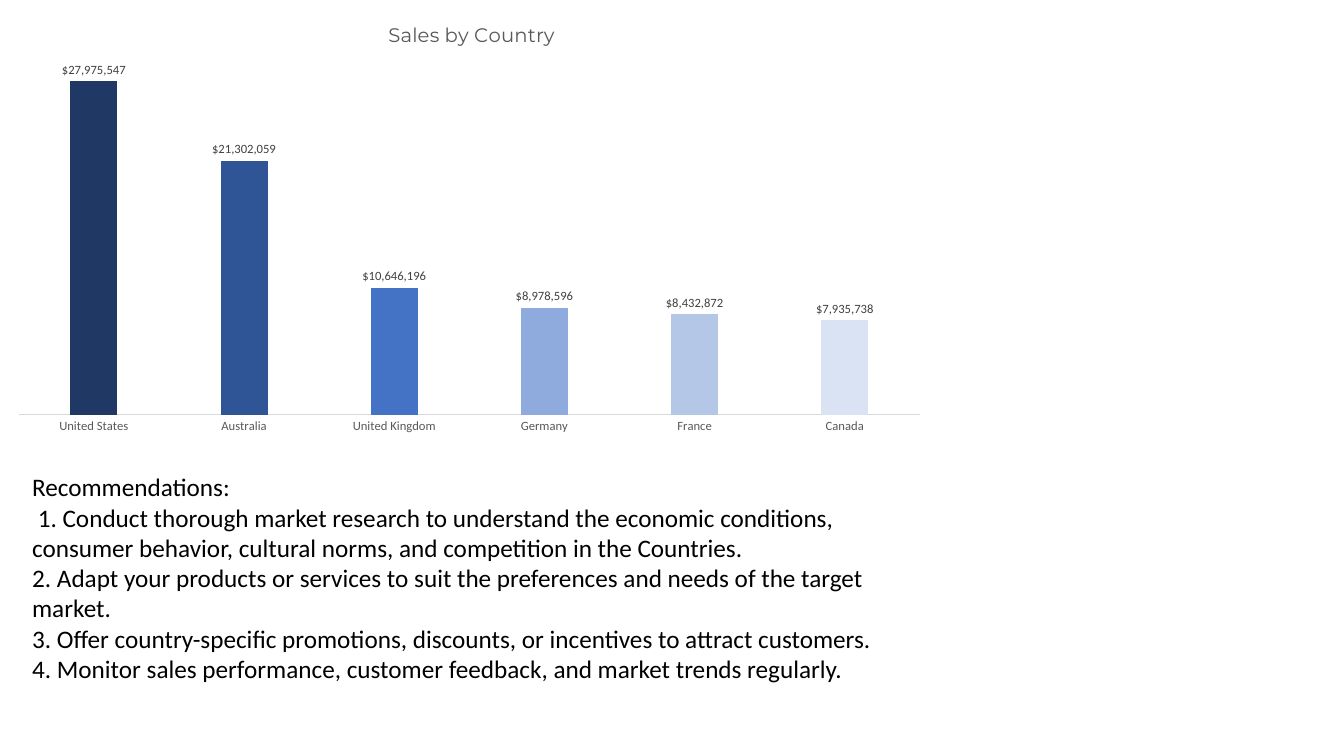
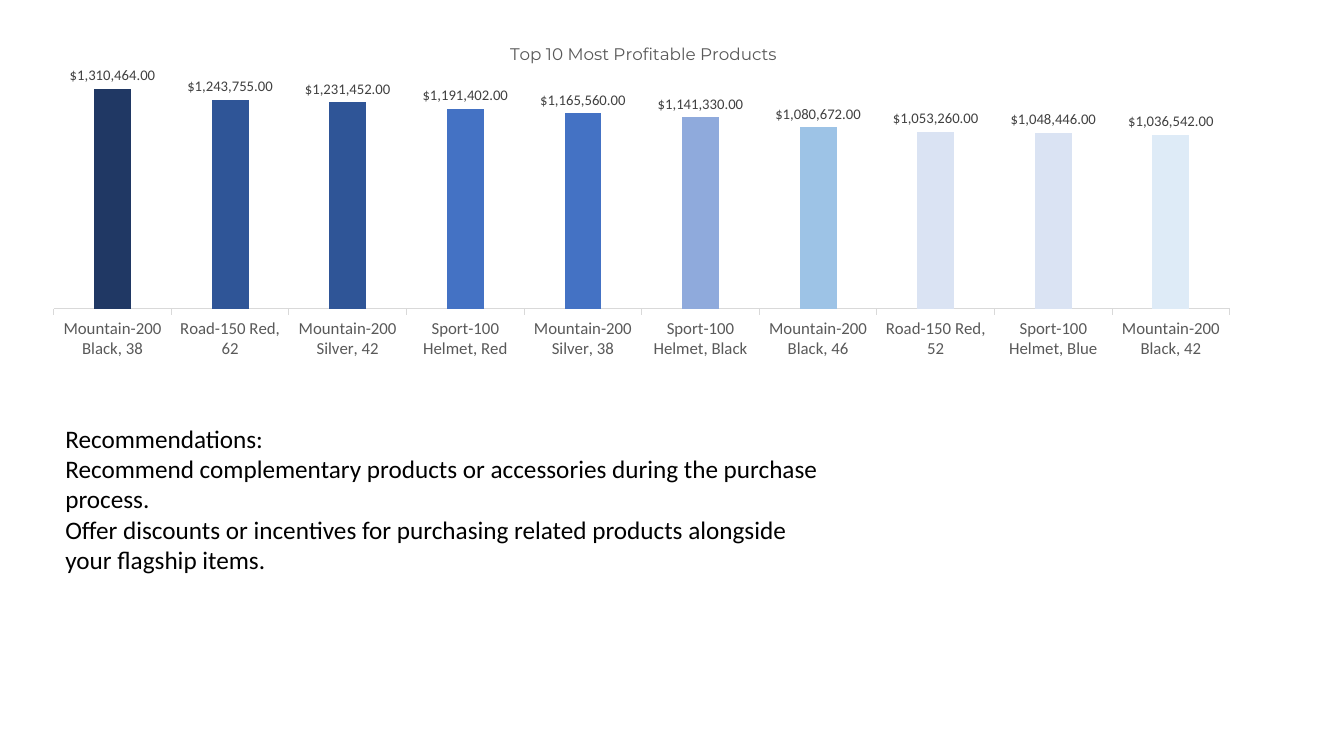
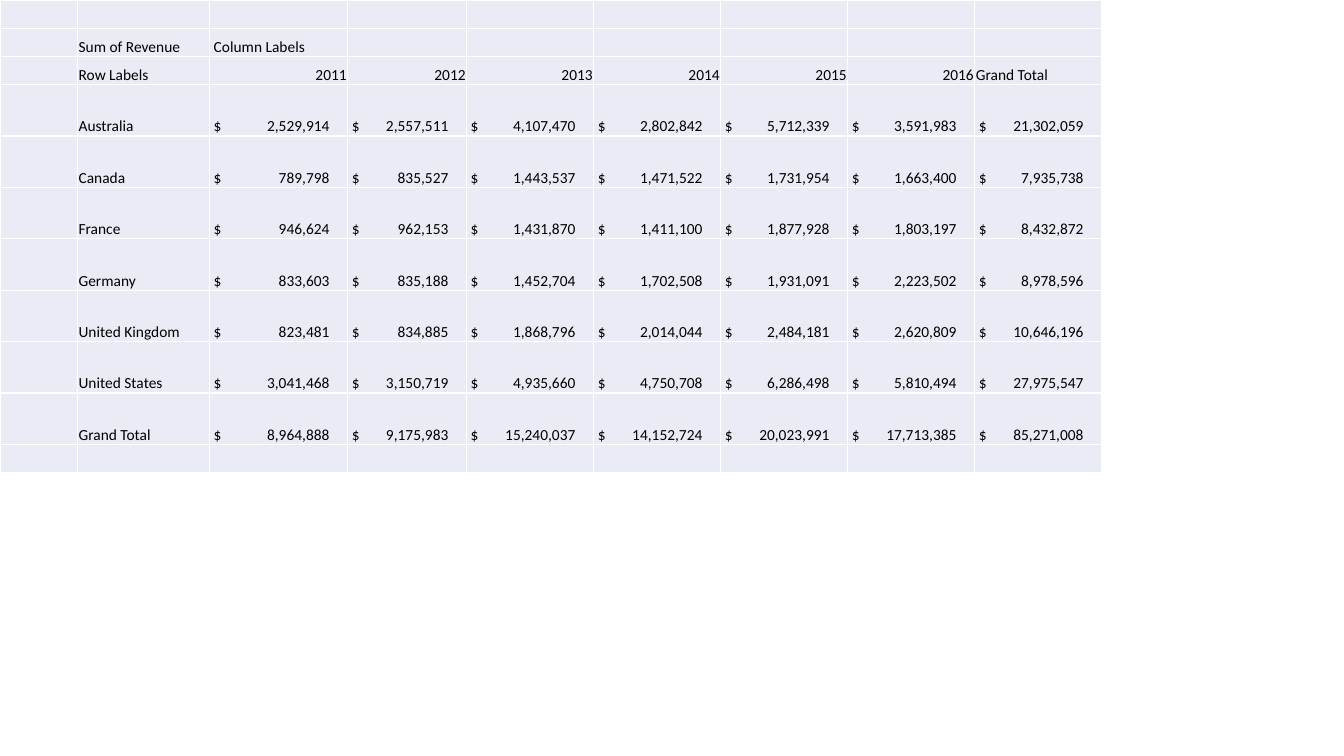
import lxml.etree
import pptx
import pptx.chart.data
import pptx.dml.color
import pptx.enum.chart
import pptx.enum.text
import pptx.oxml.ns
import pptx.util

Inches = pptx.util.Inches
Pt = pptx.util.Pt
qn = pptx.oxml.ns.qn

BODY_FONT = "Calibri"
TITLE_FONT = "Montserrat"
BLACK = "000000"
WHITE = "FFFFFF"
LABEL_GREY = "404040"
AXIS_GREY = "595959"
LINE_GREY = "D9D9D9"
CELL_FILL = "E9EBF5"
NAVY, DEEP, BLUE, SOFT, LIGHT, PALE = (
    "203864", "2F5597", "4472C4", "8FAADC", "B4C7E7", "DAE3F3")
SKY, ICE = "9DC3E6", "DEEBF7"

COUNTRIES = [
    ("United States", 27975547, NAVY),
    ("Australia", 21302059, DEEP),
    ("United Kingdom", 10646196, BLUE),
    ("Germany", 8978596, SOFT),
    ("France", 8432872, LIGHT),
    ("Canada", 7935738, PALE),
]
PRODUCTS = [
    ("Mountain-200 Black, 38", 1310464, NAVY),
    ("Road-150 Red, 62", 1243755, DEEP),
    ("Mountain-200 Silver, 42", 1231452, DEEP),
    ("Sport-100 Helmet, Red", 1191402, BLUE),
    ("Mountain-200 Silver, 38", 1165560, BLUE),
    ("Sport-100 Helmet, Black", 1141330, SOFT),
    ("Mountain-200 Black, 46", 1080672, SKY),
    ("Road-150 Red, 52", 1053260, PALE),
    ("Sport-100 Helmet, Blue", 1048446, PALE),
    ("Mountain-200 Black, 42", 1036542, ICE),
]
COUNTRY_ADVICE = [
    "Recommendations:",
    " 1. Conduct thorough market research to understand the economic conditions, "
    "consumer behavior, cultural norms, and competition in the Countries.",
    "2. Adapt your products or services to suit the preferences and needs of the "
    "target market.",
    "3. Offer country-specific promotions, discounts, or incentives to attract customers.",
    "4. Monitor sales performance, customer feedback, and market trends regularly.",
]
PRODUCT_ADVICE = [
    "Recommendations:",
    "Recommend complementary products or accessories during the purchase process.",
    "Offer discounts or incentives for purchasing related products alongside your "
    "flagship items.",
]
YEARS = ["2011", "2012", "2013", "2014", "2015", "2016"]
REVENUE = [
    ("Australia", 2529914, 2557511, 4107470, 2802842, 5712339, 3591983, 21302059),
    ("Canada", 789798, 835527, 1443537, 1471522, 1731954, 1663400, 7935738),
    ("France", 946624, 962153, 1431870, 1411100, 1877928, 1803197, 8432872),
    ("Germany", 833603, 835188, 1452704, 1702508, 1931091, 2223502, 8978596),
    ("United Kingdom", 823481, 834885, 1868796, 2014044, 2484181, 2620809, 10646196),
    ("United States", 3041468, 3150719, 4935660, 4750708, 6286498, 5810494, 27975547),
    ("Grand Total", 8964888, 9175983, 15240037, 14152724, 20023991, 17713385, 85271008),
]
COLUMN_WIDTHS = [0.77, 1.31, 1.37, 1.18] + [1.26] * 5
ROW_HEIGHTS = [0.28] * 3 + [0.51] * len(REVENUE) + [0.28]
CELL_MARGIN = 0.01
MONEY_INDENT = 0.04
MONEY_GAP = 0.18


def rgb(value):
    return pptx.dml.color.RGBColor.from_string(value)


def style_font(font, size, color, name=BODY_FONT):
    font.name = name
    font.size = Pt(size)
    font.bold = False
    font.color.rgb = rgb(color)


def set_layout(parent, index, inner=False, **fractions):
    """Fix the place of a chart part as fractions of the whole chart."""
    for old in parent.findall(qn("c:layout")):
        parent.remove(old)
    layout = parent.makeelement(qn("c:layout"), {})
    parent.insert(index, layout)
    manual = lxml.etree.SubElement(layout, qn("c:manualLayout"))
    settings = [("layoutTarget", "inner")] if inner else []
    settings += [("xMode", "edge"), ("yMode", "edge")]
    settings += [(key, str(value)) for key, value in fractions.items()]
    for tag, value in settings:
        lxml.etree.SubElement(manual, qn("c:" + tag), val=value)


def add_ranking(slide, box, title, bars, number_format, top_value, title_size,
                title_at, axis_size, label_size, plot_y, plot_h, tick):
    """Column chart with one colour a bar and no value axis."""
    data = pptx.chart.data.CategoryChartData(number_format=number_format)
    data.categories = [name for name, _, _ in bars]
    data.add_series("Series 1", [value for _, value, _ in bars])
    chart = slide.shapes.add_chart(
        pptx.enum.chart.XL_CHART_TYPE.COLUMN_CLUSTERED,
        *[Inches(length) for length in box], data).chart
    style_font(chart.font, 10, BLACK)
    chart.has_legend = False

    chart.has_title = True
    heading = chart.chart_title.text_frame.paragraphs[0].add_run()
    heading.text = title
    style_font(heading.font, title_size, AXIS_GREY, TITLE_FONT)
    title_x, title_y = title_at
    set_layout(chart.chart_title._element, 1, x=title_x, y=title_y)
    set_layout(chart._chartSpace.chart.plotArea, 0, inner=True,
               x=0.02, y=plot_y, w=0.96, h=plot_h)

    names = chart.category_axis
    names.major_tick_mark = tick
    names.format.line.color.rgb = rgb(LINE_GREY)
    names.format.line.width = Pt(0.75)
    style_font(names.tick_labels.font, axis_size, AXIS_GREY)
    amounts = chart.value_axis
    amounts.minimum_scale, amounts.maximum_scale = 0, top_value
    amounts.has_major_gridlines = False
    amounts.visible = False

    plot = chart.plots[0]
    plot.gap_width, plot.overlap = 219, -27
    plot.vary_by_categories = False
    series = plot.series[0]
    series.format.fill.solid()
    series.format.fill.fore_color.rgb = rgb(BLUE)
    for index, (_, _, color) in enumerate(bars):
        fill = series.points[index].format.fill
        fill.solid()
        fill.fore_color.rgb = rgb(color)
    labels = series.data_labels
    labels.show_value = True
    labels.position = pptx.enum.chart.XL_LABEL_POSITION.OUTSIDE_END
    labels.number_format = number_format
    labels.number_format_is_linked = False
    style_font(labels.font, label_size, LABEL_GREY)


def add_advice(slide, box, lines):
    frame = slide.shapes.add_textbox(*[Inches(length) for length in box]).text_frame
    frame.word_wrap = True
    frame.auto_size = pptx.enum.text.MSO_AUTO_SIZE.SHAPE_TO_FIT_TEXT
    for index, line in enumerate(lines):
        paragraph = frame.add_paragraph() if index else frame.paragraphs[0]
        run = paragraph.add_run()
        run.text = line
        style_font(run.font, 18, BLACK)


def add_borders(cell):
    properties = cell._tc.get_or_add_tcPr()
    for index, side in enumerate(("lnL", "lnR", "lnT", "lnB")):
        line = properties.makeelement(qn("a:" + side), {"w": str(Pt(1))})
        properties.insert(index, line)
        fill = lxml.etree.SubElement(line, qn("a:solidFill"))
        lxml.etree.SubElement(fill, qn("a:srgbClr"), val=WHITE)


def fill_cell(cell, value, width):
    """Write a label, a year or an amount (an int) into a cell."""
    is_money = isinstance(value, int)
    cell.fill.solid()
    cell.fill.fore_color.rgb = rgb(CELL_FILL)
    add_borders(cell)
    cell.vertical_anchor = pptx.enum.text.MSO_ANCHOR.BOTTOM
    indent = MONEY_INDENT if is_money or value == "Column Labels" else CELL_MARGIN
    cell.margin_left = Inches(indent)
    cell.margin_right = cell.margin_top = Inches(CELL_MARGIN)
    cell.margin_bottom = 0
    paragraph = cell.text_frame.paragraphs[0]
    if value == "":
        lxml.etree.SubElement(paragraph._p, qn("a:endParaRPr"), sz="1100")
        return
    if is_money:
        tabs = lxml.etree.SubElement(paragraph._p.get_or_add_pPr(), qn("a:tabLst"))
        stop = Inches(round(width - indent - MONEY_GAP, 2))
        lxml.etree.SubElement(tabs, qn("a:tab"), pos=str(stop), algn="r")
    elif value in YEARS:
        paragraph.alignment = pptx.enum.text.PP_ALIGN.RIGHT
    run = paragraph.add_run()
    run.text = f"$\t{value:,}" if is_money else value
    style_font(run.font, 11, BLACK)


def add_revenue_table(slide, left, top):
    blank = [""] * len(COLUMN_WIDTHS)
    rows = [
        blank,
        ["", "Sum of Revenue", "Column Labels"] + [""] * 6,
        ["", "Row Labels", *YEARS, "Grand Total"],
        *[["", *record] for record in REVENUE],
        blank,
    ]
    table = slide.shapes.add_table(
        len(rows), len(COLUMN_WIDTHS), Inches(left), Inches(top),
        Inches(sum(COLUMN_WIDTHS)), Inches(sum(ROW_HEIGHTS))).table
    table.first_row = table.horz_banding = False
    for column, width in zip(table.columns, COLUMN_WIDTHS):
        column.width = Inches(width)
    for row, height, values in zip(table.rows, ROW_HEIGHTS, rows):
        row.height = Inches(height)
        for cell, value, width in zip(row.cells, values, COLUMN_WIDTHS):
            fill_cell(cell, value, width)


def main():
    deck = pptx.Presentation()
    deck.slide_width, deck.slide_height = Inches(13.33), Inches(7.5)
    blank_layout = deck.slide_layouts[6]
    countries, products, revenue = [
        deck.slides.add_slide(blank_layout) for _ in range(3)]
    ticks = pptx.enum.chart.XL_TICK_MARK

    add_ranking(countries, (0, 0, 9.31, 4.38), "Sales by Country", COUNTRIES,
                "$#,##0", 30000000, title_size=14, title_at=(0.41, 0.04),
                axis_size=9, label_size=9, plot_y=0.13, plot_h=0.81,
                tick=ticks.NONE)
    add_advice(countries, (0.22, 4.63, 9.09, 2.22), COUNTRY_ADVICE)

    add_ranking(products, (0.29, 0.26, 12.15, 3.38),
                "Top 10 Most Profitable Products", PRODUCTS,
                "$#,##0.00", 1400000, title_size=12, title_at=(0.39, 0.04),
                axis_size=12, label_size=10.5, plot_y=0.14, plot_h=0.69,
                tick=ticks.OUTSIDE)
    add_advice(products, (0.55, 4.15, 7.86, 1.62), PRODUCT_ADVICE)

    add_revenue_table(revenue, 0, 0)
    deck.save("out.pptx")


if __name__ == "__main__":
    main()
